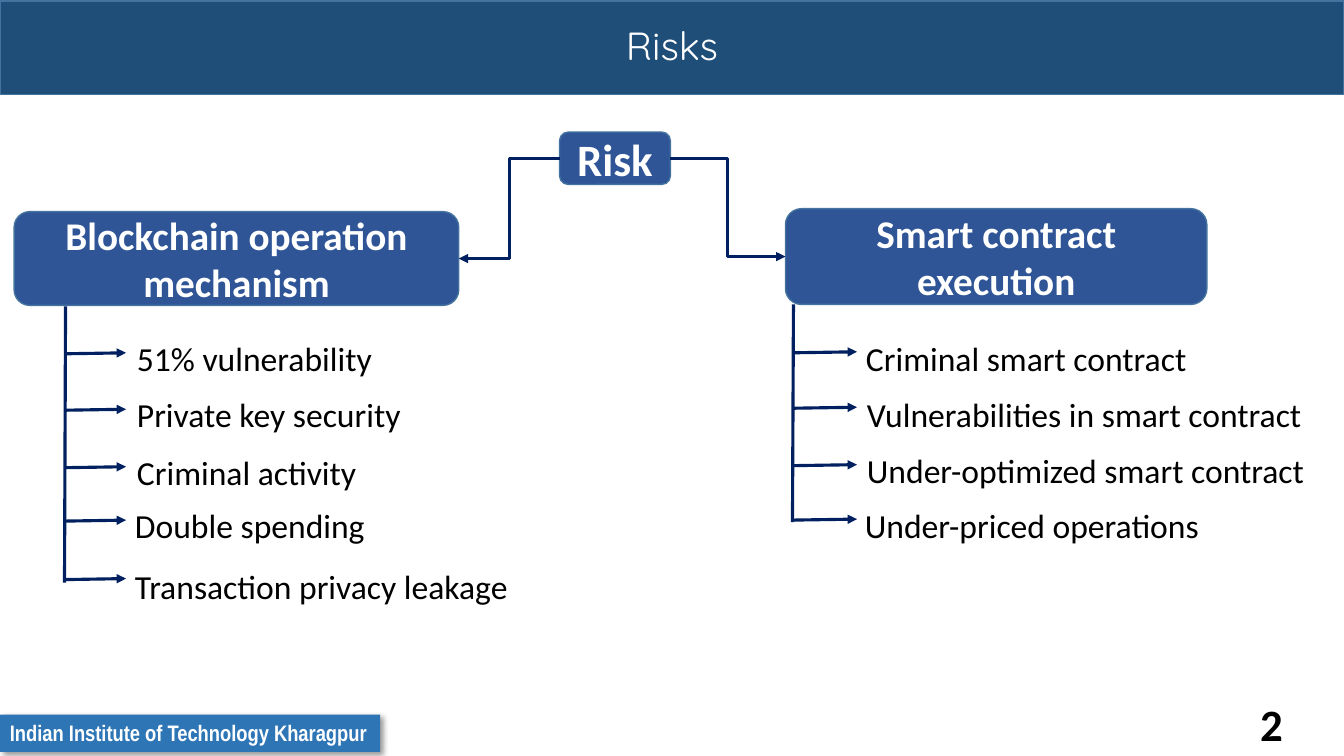
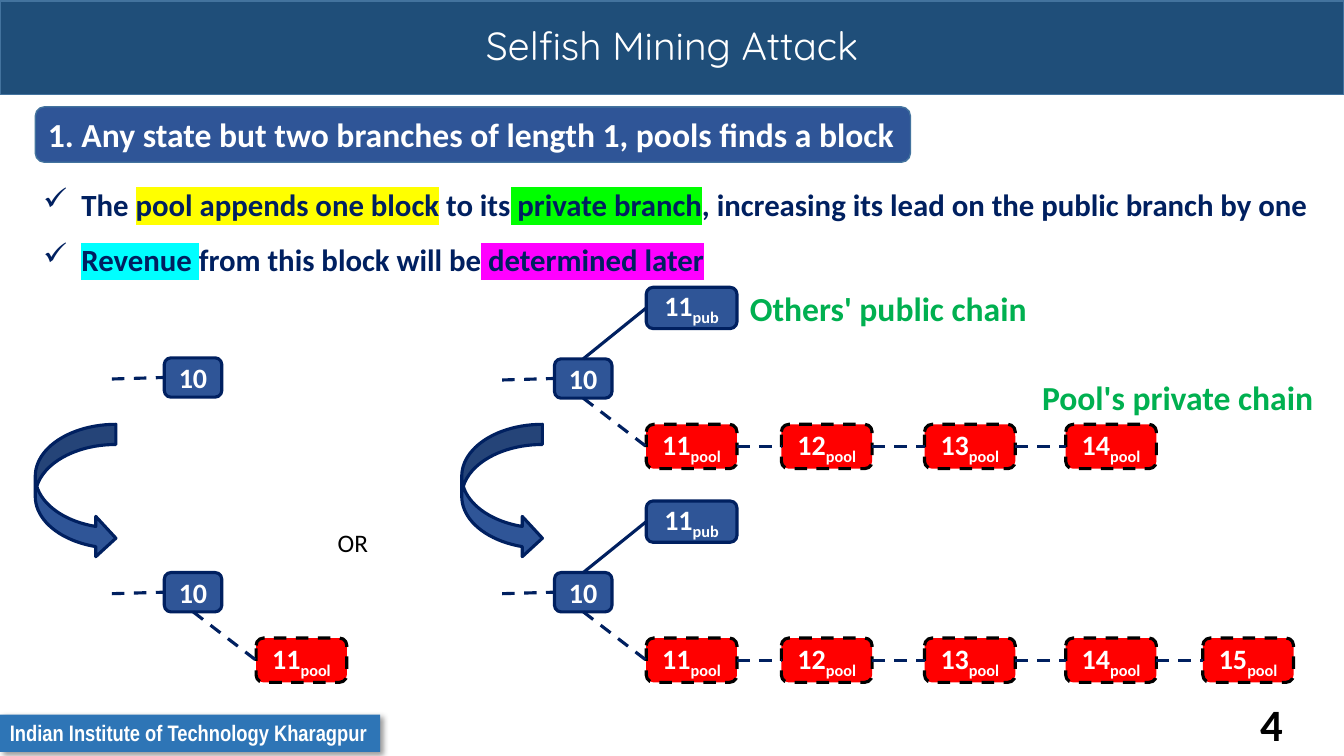
from dataclasses import dataclass
from typing import NamedTuple

from lxml import etree
from pptx import Presentation
from pptx.dml.color import RGBColor
from pptx.enum import dml, shapes, text
from pptx.oxml import parse_xml
from pptx.oxml.ns import nsdecls, qn
from pptx.util import Pt

PX = 9144  # 100 px to the inch
WIDTH, HEIGHT = 1333, 750
TOP, LEFT, BOTTOM, RIGHT = range(4)  # connection sites of a rectangle

COLORS = {
    "band": "1F4E79", "edge": "43739E", "footer": "2E75B6", "box": "2F5597",
    "navy": "002060", "pool": "FF0000", "black": "000000", "white": "FFFFFF",
    "green": "00B050", "yellow": "FFFF00", "lime": "00FF00", "cyan": "00FFFF",
    "magenta": "FF00FF",
}
ALIGN = text.PP_ALIGN
KIND = shapes.MSO_SHAPE


class Span(NamedTuple):
    text: str
    highlight: str = ""
    subscript: bool = False


class Item(NamedTuple):
    text: str
    left: int
    top: int
    arrow_y: int


@dataclass
class Branch:
    heading: str
    box: tuple[int, int, int, int]
    trunk: tuple[int, int, int, int]
    arrow_x: tuple[int, int]
    text_width: int
    items: list[Item]


def px(*lengths: int) -> list[int]:
    return [length * PX for length in lengths]


def rgb(name: str) -> RGBColor:
    return RGBColor.from_string(COLORS[name])


def write(shape, *paragraphs, size=24, color="black", font="Calibri", bold=False,
          align=ALIGN.LEFT, anchor=text.MSO_ANCHOR.TOP, wrap=True, spacing=None,
          bullet="") -> None:
    """Fill a shape with paragraphs, each a string or a list of spans."""
    frame = shape.text_frame
    frame.word_wrap = wrap
    frame.vertical_anchor = anchor
    for index, content in enumerate(paragraphs):
        paragraph = frame.add_paragraph() if index else frame.paragraphs[0]
        paragraph.alignment = align
        if spacing:
            paragraph.line_spacing = spacing
        if bullet:
            props = paragraph._p.get_or_add_pPr()
            props.set("marL", str(38 * PX))
            props.set("indent", str(-38 * PX))
            etree.SubElement(props, qn("a:buChar")).set("char", bullet)
        for span in [Span(content)] if isinstance(content, str) else content:
            run = paragraph.add_run()
            run.text = span.text
            run.font.size, run.font.bold, run.font.name = Pt(size), bold, font
            run.font.color.rgb = rgb(color)
            props = run._r.get_or_add_rPr()
            if span.subscript:
                props.set("baseline", "-25000")
            if span.highlight:
                props.find(qn("a:solidFill")).addnext(parse_xml(
                    f'<a:highlight {nsdecls("a")}>'
                    f'<a:srgbClr val="{COLORS[span.highlight]}"/></a:highlight>'))


def add_box(slide, kind, left: int, top: int, width: int, height: int, *,
            fill="box", edge="edge", weight=1.0, dashed=False):
    box = slide.shapes.add_shape(kind, *px(left, top, width, height))
    box.shadow.inherit = False
    box.fill.solid()
    box.fill.fore_color.rgb = rgb(fill)
    if edge:
        box.line.color.rgb = rgb(edge)
        box.line.width = Pt(weight)
    else:
        box.line.fill.background()
    if dashed:
        box.line.dash_style = dml.MSO_LINE.DASH
    return box


def add_heading(slide, content: str, box: tuple[int, int, int, int], *,
                size=28, align=ALIGN.CENTER):
    heading = add_box(slide, KIND.ROUNDED_RECTANGLE, *box)
    write(heading, content, size=size, color="white", bold=True, align=align,
          anchor=text.MSO_ANCHOR.MIDDLE)
    return heading


def add_label(slide, content: str, left: int, top: int, width: int, height=50,
              **style) -> None:
    label = slide.shapes.add_textbox(*px(left, top, width, height))
    write(label, content, **style)


def add_line(slide, ends=(0, 0, 0, 0), *, start=None, finish=None, elbow=False,
             dashed=False, arrow=False) -> None:
    """Draw a line; start and finish are (shape, site) pairs to join."""
    kind = shapes.MSO_CONNECTOR.ELBOW if elbow else shapes.MSO_CONNECTOR.STRAIGHT
    line = slide.shapes.add_connector(kind, *px(*ends))
    if start:
        line.begin_connect(*start)
    if finish:
        line.end_connect(*finish)
    line.line.color.rgb = rgb("navy")
    line.line.width = Pt(2.25)
    if dashed:
        line.line.dash_style = dml.MSO_LINE.DASH
    props = line._element.spPr
    if arrow:
        etree.SubElement(props.find(qn("a:ln")), qn("a:tailEnd")).set("type", "triangle")
    etree.SubElement(props, qn("a:effectLst"))


def new_slide(deck, title: str, number: int):
    """Add a slide with the title band, footer and page number."""
    slide = deck.slides.add_slide(deck.slide_layouts[6])
    band = add_box(slide, KIND.RECTANGLE, 0, 1, WIDTH, 93, fill="band")
    write(band, title, size=28, color="white", font="Quicksand", align=ALIGN.CENTER,
          anchor=text.MSO_ANCHOR.MIDDLE, spacing=0.9)
    footer = add_box(slide, KIND.RECTANGLE, 0, 709, 377, 37, fill="footer", edge="")
    footer._element.spPr.find(qn("a:effectLst")).append(parse_xml(
        f'<a:outerShdw {nsdecls("a")} blurRad="{Pt(4)}" dist="{Pt(3)}" dir="2700000">'
        f'<a:srgbClr val="{COLORS["black"]}"><a:alpha val="40000"/></a:srgbClr>'
        '</a:outerShdw>'))
    write(footer, "Indian Institute of Technology Kharagpur", size=16, color="white",
          font="Arial Narrow", bold=True, wrap=False)
    add_label(slide, str(number), 1240, 686, 87, 64, size=32, bold=True)
    return slide


def add_branch(slide, branch: Branch):
    heading = add_heading(slide, branch.heading, branch.box)
    add_line(slide, branch.trunk)
    start, end = branch.arrow_x
    for item in branch.items:
        add_line(slide, (start, item.arrow_y, end, item.arrow_y - 1), arrow=True)
        add_label(slide, item.text, item.left, item.top, branch.text_width)
    return heading


def add_block(slide, number: int, left: int, top: int, owner=""):
    """Draw one block of the chain, with its owner as a subscript."""
    width, height = {"": (57, 39), "pub": (90, 41), "pool": (90, 44)}[owner]
    private = owner == "pool"
    block = add_box(slide, KIND.ROUNDED_RECTANGLE, left, top, width, height,
                    fill="pool" if private else "box",
                    edge="black" if private else "navy", weight=2.25, dashed=private)
    spans = [Span(str(number))] + ([Span(owner, subscript=True)] if owner else [])
    write(block, spans, size=20, color="white", bold=True, align=ALIGN.CENTER,
          anchor=text.MSO_ANCHOR.MIDDLE)
    return block


POOL_OFFSETS = (91, 225, 367, 507, 643)


def add_chain(slide, left: int, top: int, pool_blocks: int, public: bool) -> None:
    """Draw block 10 with its public and private branches."""
    root = add_block(slide, 10, left, top)
    add_line(slide, (left - 52, top + 21, left, top + 20), finish=(root, LEFT), dashed=True)
    if public:
        rival = add_block(slide, 11, left + POOL_OFFSETS[0], top - 71, "pub")
        add_line(slide, start=(rival, LEFT), finish=(root, TOP))
    previous, site = root, BOTTOM
    for number, offset in enumerate(POOL_OFFSETS[:pool_blocks], 11):
        block = add_block(slide, number, left + offset, top + 65, "pool")
        add_line(slide, start=(previous, site), finish=(block, LEFT), dashed=True)
        previous, site = block, RIGHT


OPERATION = Branch(
    "Blockchain operation mechanism", (14, 210, 441, 93), (65, 304, 64, 578), (64, 125), 391,
    [Item("51% vulnerability", 126, 330, 351),
     Item("Private key security", 126, 386, 407),
     Item("Criminal activity", 126, 443, 464),
     Item("Double spending", 124, 496, 517),
     Item("Transaction privacy leakage", 124, 557, 575)])
EXECUTION = Branch(
    "Smart contract execution", (779, 207, 418, 95), (787, 302, 786, 518), (786, 850), 469,
    [Item("Criminal smart contract", 849, 330, 350),
     Item("Vulnerabilities in smart contract", 850, 386, 405),
     Item("Under-optimized smart contract", 850, 441, 462),
     Item("Under-priced operations", 848, 496, 516)])


def build_risks(deck) -> None:
    slide = new_slide(deck, "Risks", 2)
    risk = add_heading(slide, "Risk", (555, 131, 110, 52), size=32)
    for branch, out, into in ((OPERATION, LEFT, RIGHT), (EXECUTION, RIGHT, LEFT)):
        heading = add_branch(slide, branch)
        add_line(slide, start=(risk, out), finish=(heading, into), elbow=True, arrow=True)


def build_selfish_mining(deck) -> None:
    slide = new_slide(deck, "Selfish Mining Attack", 4)
    add_heading(slide, "1. Any state but two branches of length 1, pools finds a block",
                (35, 106, 868, 55), size=24, align=ALIGN.LEFT)
    outcome = slide.shapes.add_textbox(*px(33, 161, 1300, 119))
    write(outcome,
          [Span("The "), Span("pool appends one block", "yellow"), Span(" to its"),
           Span(" private branch", "lime"),
           Span(", increasing its lead on the public branch by one")],
          [Span("Revenue ", "cyan"), Span("from this block will be"),
           Span(" determined later", "magenta")],
          size=22, color="navy", bold=True, spacing=1.5, bullet="✓")

    add_chain(slide, 163, 355, 0, False)
    add_chain(slide, 163, 568, 1, False)
    add_chain(slide, 550, 356, 4, True)
    add_chain(slide, 550, 568, 5, True)
    for left in (35, 458):
        add_box(slide, KIND.CURVED_RIGHT_ARROW, left, 421, 80, 133, edge="navy", weight=2.25)

    for chain, left, top in (("Others' public chain", 727, 281),
                             ("Pool's private chain", 1014, 369)):
        add_label(slide, chain, left, top, 308, color="green", bold=True, align=ALIGN.CENTER)
    add_label(slide, "OR", 325, 518, 51, 40, size=18, wrap=False)


def main() -> None:
    deck = Presentation()
    deck.slide_width, deck.slide_height = px(WIDTH, HEIGHT)
    build_risks(deck)
    build_selfish_mining(deck)
    deck.save("out.pptx")


if __name__ == "__main__":
    main()
